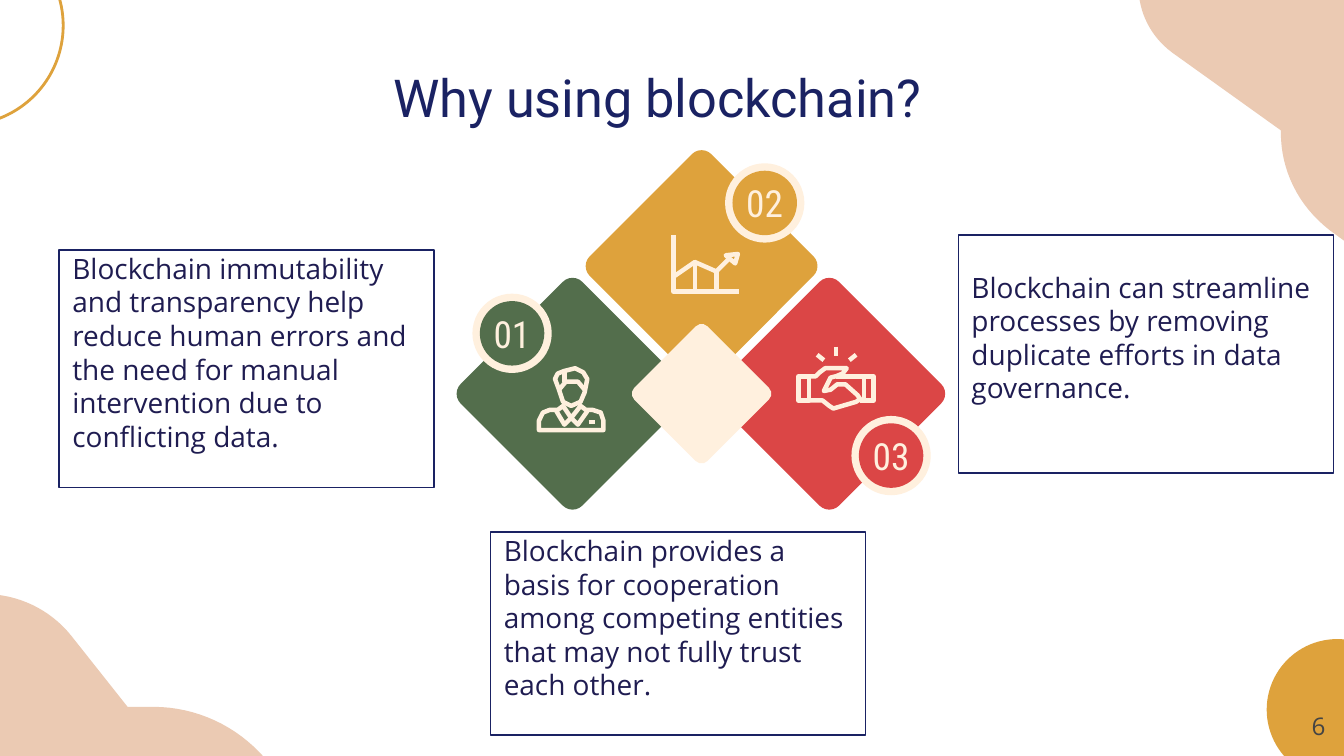
from dataclasses import dataclass

from lxml import etree
from pptx import Presentation
from pptx import util as u
from pptx.dml.color import RGBColor
from pptx.enum import shapes, text
from pptx.oxml.ns import qn
from pptx.util import Inches

NAVY = RGBColor(0x1A, 0x22, 0x63)
INK = RGBColor(0x1F, 0x1C, 0x51)
GREY = RGBColor(0x44, 0x44, 0x44)
PEACH = RGBColor(0xEB, 0xCA, 0xB3)
CREAM = RGBColor(0xFF, 0xF0, 0xDE)
GOLD = RGBColor(0xDE, 0xA2, 0x3C)
GREEN = RGBColor(0x53, 0x6E, 0x4C)
RED = RGBColor(0xDB, 0x46, 0x46)

DIAMOND_SIDE = 1.28
CORE_SIDE = 0.77
BADGE_OUTER = 0.59
BADGE_INNER = 0.48
ICON_STROKE = 2.4

Point = tuple[float, float]


@dataclass
class Tile:
    number: str
    center: Point
    badge: Point
    color: RGBColor


@dataclass
class Note:
    left: float
    top: float
    height: float
    text_offset: float
    wording: str


@dataclass
class Stroke:
    points: list[Point]
    closed: bool = False


TILES = [
    Tile("01", (4.26, 2.93), (3.81, 2.48), GREEN),
    Tile("02", (5.22, 1.98), (5.69, 1.51), GOLD),
    Tile("03", (6.17, 2.93), (6.63, 3.39), RED),
]

NOTES = [
    Note(0.44, 1.86, 1.77, 0.01,
         "Blockchain immutability and transparency help reduce human errors and "
         "the need for manual intervention due to conflicting data."),
    Note(7.13, 1.75, 1.77, 0.26,
         "Blockchain can streamline processes by removing duplicate efforts in "
         "data governance."),
    Note(3.65, 3.96, 1.51, 0.01,
         "Blockchain provides a basis for cooperation among competing entities "
         "that may not fully trust each other."),
]

# Each step is a line end (2 numbers) or a cubic curve (6 numbers).
BLOBS = [
    [(-0.12, 4.42), (-0.12, 5.34), (-0.12, 5.56, 0.06, 5.75, 0.28, 5.75),
     (2.05, 5.75), (1.97, 5.64), (1.76, 5.4, 1.46, 5.26, 1.14, 5.26),
     (0.95, 5.26), (0.53, 4.73), (0.37, 4.53, 0.13, 4.42, -0.12, 4.42)],
    [(8.47, -0.11), (8.47, 0.09, 8.56, 0.27, 8.72, 0.39), (9.53, 0.97),
     (9.53, 0.98), (9.53, 1.27, 9.66, 1.53, 9.89, 1.71), (10.15, 1.9),
     (10.15, 0.23), (10.15, 0.04, 10, -0.11, 9.81, -0.11)],
]

PERSON = [
    Stroke([(4.16, 2.9), (4.13, 2.82), (4.15, 2.78), (4.2, 2.76), (4.28, 2.74),
            (4.34, 2.77), (4.37, 2.82), (4.35, 2.92), (4.32, 2.99), (4.25, 3.02),
            (4.19, 2.99)], True),
    Stroke([(4.16, 2.9), (4.21, 2.84), (4.3, 2.84), (4.35, 2.9)]),
    Stroke([(4.2, 2.76), (4.2, 2.84)]),
    Stroke([(4.01, 3.2), (4.01, 3.13), (4.04, 3.07), (4.09, 3.05), (4.15, 3.05),
            (4.19, 3.02), (4.25, 3.11), (4.32, 3.02), (4.36, 3.05), (4.41, 3.05),
            (4.47, 3.07), (4.49, 3.13), (4.49, 3.2)], True),
    Stroke([(4.14, 3.06), (4.2, 3.16), (4.25, 3.11), (4.3, 3.16), (4.37, 3.06)]),
    Stroke([(4.38, 3.14), (4.43, 3.14)]),
]
LINE_CHART = [
    Stroke([(5.01, 1.75), (5.01, 2.17), (5.5, 2.17)]),
    Stroke([(5.01, 2.06), (5.17, 1.95), (5.33, 2.02), (5.43, 1.92)]),
    Stroke([(5.17, 1.95), (5.17, 2.17)]),
    Stroke([(5.33, 2.02), (5.33, 2.17)]),
    Stroke([(5.49, 1.89), (5.47, 1.96), (5.4, 1.9)], True),
]
HANDSHAKE = [
    Stroke([(5.94, 2.8), (6.02, 2.8), (6.02, 2.98), (5.94, 2.98)], True),
    Stroke([(6.43, 2.8), (6.5, 2.8), (6.5, 2.98), (6.43, 2.98)], True),
    Stroke([(6.02, 2.8), (6.07, 2.8), (6.1, 2.77), (6.14, 2.74), (6.3, 2.74),
            (6.27, 2.78), (6.22, 2.8), (6.18, 2.81), (6.13, 2.91), (6.18, 2.9),
            (6.23, 2.86), (6.29, 2.86), (6.38, 2.94), (6.4, 2.97), (6.37, 2.99),
            (6.2, 3.04), (6.17, 3.02), (6.12, 2.98), (6.02, 2.98)]),
    Stroke([(6.22, 2.8), (6.43, 2.8)]),
    Stroke([(6.4, 2.98), (6.43, 2.98)]),
    Stroke([(6.22, 2.58), (6.22, 2.65)]),
    Stroke([(6.08, 2.64), (6.13, 2.68)]),
    Stroke([(6.37, 2.64), (6.32, 2.68)]),
]


def style(shape, fill: RGBColor | None, line: RGBColor | None = None,
          width: float = 0.75) -> None:
    shape.shadow.inherit = False
    if fill is None:
        shape.fill.background()
    else:
        shape.fill.solid()
        shape.fill.fore_color.rgb = fill
    if line is None:
        shape.line.fill.background()
    else:
        shape.line.color.rgb = line
        shape.line.width = u.Pt(width)


def add_centered(slide, kind, center: Point, size: float):
    x, y = center
    return slide.shapes.add_shape(kind, Inches(x - size / 2), Inches(y - size / 2),
                                  Inches(size), Inches(size))


def add_circle(slide, center: Point, size: float, fill: RGBColor | None):
    circle = add_centered(slide, shapes.MSO_SHAPE.OVAL, center, size)
    style(circle, fill)
    return circle


def add_diamond(slide, center: Point, side: float, fill: RGBColor) -> None:
    """Draw a rounded square standing on its corner."""
    diamond = add_centered(slide, shapes.MSO_SHAPE.ROUNDED_RECTANGLE, center, side)
    diamond.adjustments[0] = 0.08
    diamond.rotation = 45
    style(diamond, fill)


def add_outline(slide, points: list[Point], closed: bool = True):
    corners = [(Inches(x), Inches(y)) for x, y in points]
    builder = slide.shapes.build_freeform(*corners[0])
    builder.add_line_segments(corners[1:], close=closed)
    return builder.convert_to_shape()


def flatten(steps: list[tuple], pieces: int = 16) -> list[Point]:
    """Turn lines and cubic curves into a list of points."""
    points = [steps[0]]
    for step in steps[1:]:
        if len(step) == 2:
            points.append(step)
            continue
        controls = [points[-1], step[:2], step[2:4], step[4:]]
        for i in range(1, pieces + 1):
            t = i / pieces
            weights = ((1 - t) ** 3, 3 * t * (1 - t) ** 2, 3 * t * t * (1 - t), t ** 3)
            points.append(tuple(sum(w * c[axis] for w, c in zip(weights, controls))
                                for axis in (0, 1)))
    return points


def add_stroke(slide, stroke: Stroke) -> None:
    if len(stroke.points) > 2:
        style(add_outline(slide, stroke.points, stroke.closed), None, CREAM, ICON_STROKE)
        return
    ends = [Inches(value) for point in stroke.points for value in point]
    line = slide.shapes.add_connector(shapes.MSO_CONNECTOR.STRAIGHT, *ends)
    line.line.color.rgb = CREAM
    line.line.width = u.Pt(ICON_STROKE)
    etree.SubElement(line._element.spPr, qn("a:effectLst"))


def write(shape, wording: str, font: str, size: float, color: RGBColor,
          align=text.PP_ALIGN.CENTER, anchor=text.MSO_ANCHOR.MIDDLE):
    frame = shape.text_frame
    frame.word_wrap = True
    frame.vertical_anchor = anchor
    frame.margin_left = frame.margin_right = Inches(0.1)
    frame.margin_top = frame.margin_bottom = Inches(0.1)
    paragraph = frame.paragraphs[0]
    paragraph.text = wording
    paragraph.alignment = align
    paragraph.font.name = font
    paragraph.font.size = u.Pt(size)
    paragraph.font.color.rgb = color
    return paragraph


def add_tile(slide, tile: Tile) -> None:
    add_diamond(slide, tile.center, DIAMOND_SIDE, tile.color)
    add_circle(slide, tile.badge, BADGE_OUTER, CREAM)
    badge = add_circle(slide, tile.badge, BADGE_INNER, tile.color)
    write(badge, tile.number, "Roboto Condensed", 20, CREAM)
    frame = badge.text_frame
    frame.word_wrap = False
    frame.margin_left = frame.margin_right = frame.margin_top = frame.margin_bottom = 0


def add_note(slide, note: Note) -> None:
    box = slide.shapes.add_shape(shapes.MSO_SHAPE.RECTANGLE, Inches(note.left),
                                 Inches(note.top), Inches(2.79), Inches(note.height))
    style(box, None, NAVY)
    paragraph = write(box, note.wording, "Open Sans", 15, INK,
                      text.PP_ALIGN.LEFT, text.MSO_ANCHOR.TOP)
    paragraph.line_spacing = u.Pt(18)
    box.text_frame.margin_top = Inches(note.text_offset)


def main() -> None:
    presentation = Presentation()
    presentation.slide_width = Inches(10)
    presentation.slide_height = Inches(10) * 9 // 16
    slide = presentation.slides.add_slide(presentation.slide_layouts[6])

    for blob in BLOBS:
        style(add_outline(slide, flatten(blob)), PEACH)
    style(add_circle(slide, (-0.27, 0.19), 1.48, None), None, GOLD, 1.5)
    add_circle(slide, (9.95, 5.28), 1.05, GOLD)

    title = slide.shapes.add_textbox(Inches(0.67), Inches(0.41), Inches(8.44), Inches(0.62))
    write(title, "Why using blockchain?", "Roboto", 28, NAVY)
    for tile in TILES:
        add_tile(slide, tile)
    add_diamond(slide, (5.22, 2.93), CORE_SIDE, CREAM)
    for note in NOTES:
        add_note(slide, note)
    for stroke in PERSON + LINE_CHART + HANDSHAKE:
        add_stroke(slide, stroke)

    page = slide.shapes.add_textbox(Inches(9.36), Inches(5.19), Inches(0.6), Inches(0.43))
    write(page, "6", "Open Sans", 13, GREY, text.PP_ALIGN.RIGHT, text.MSO_ANCHOR.TOP)
    presentation.save("out.pptx")


if __name__ == "__main__":
    main()
